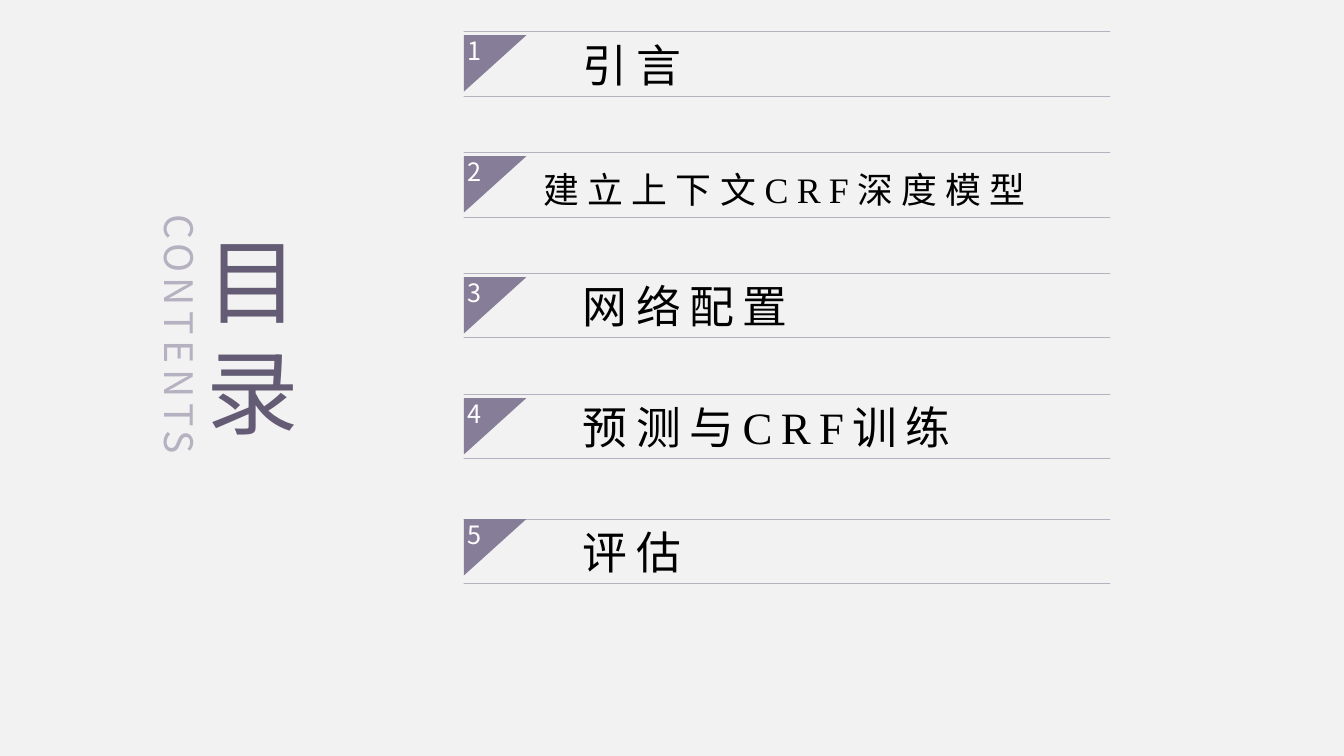
from pptx import Presentation
from pptx import util as u
from pptx.dml.color import RGBColor
from pptx.enum import text
from pptx.oxml.ns import qn

PURPLE, DARK, PALE = "867D98", "645C74", "B6B1C1"
CJK, LATIN = "Noto Sans CJK SC", "Times New Roman"
LEFT, RULE_W, RULE_GAP = 4.6, 6.41, 0.64
FLAG_W, FLAG_H = 0.62, 0.56
FIRST_TOP, PITCH = 0.31, 1.2


def color(hex_value):
    return RGBColor.from_string(hex_value)


class ContentsSlide:
    def __init__(self, prs):
        self.slide = prs.slides.add_slide(prs.slide_layouts[5])
        self.slide.background.fill.solid()
        self.slide.background.fill.fore_color.rgb = color("F2F2F2")

    def frame(self, shape, insets, anchor):
        body = shape.text_frame
        sides = dict(zip(("left", "top", "right", "bottom"), insets))
        settings = {f"margin_{side}": u.Inches(v) for side, v in sides.items()}
        settings.update(word_wrap=True, vertical_anchor=anchor,
                        auto_size=text.MSO_AUTO_SIZE.NONE)
        for key, value in settings.items():
            setattr(body, key, value)
        return body

    def add_runs(self, paragraph, runs, size, ink, align=text.PP_ALIGN.LEFT, spacing=0):
        paragraph.alignment = align
        for words, face in runs:
            run = paragraph.add_run()
            run.text = words
            for key, value in {"size": u.Pt(size), "name": face, "bold": False}.items():
                setattr(run.font, key, value)
            run.font.color.rgb = color(ink)
            props = run.font._element
            props.get_or_add_latin().addnext(props.makeelement(qn("a:ea"), {"typeface": CJK}))
            if spacing:
                props.set("spc", str(spacing * 100))

    def outline(self, contours):
        """Freeform through closed contours given in inches."""
        contours = [[(u.Inches(x), u.Inches(y)) for x, y in c] for c in contours]
        builder = self.slide.shapes.build_freeform(*contours[0][0])
        for index, (start, *rest) in enumerate(contours):
            if index:
                builder.move_to(*start)
            builder.add_line_segments(rest, close=True)
        shape = builder.convert_to_shape()
        shape.shadow.inherit = False
        return shape

    def rules(self, top, runs, size, indent, line_spacing):
        shape = self.outline([[(LEFT, y), (LEFT + RULE_W, y), (LEFT, y)]
                              for y in (top + RULE_GAP, top)])
        shape.fill.background()
        shape.line.color.rgb = color(PALE)
        shape.line.width = u.Pt(0.25)
        body = self.frame(shape, (indent, 0, 0, 0.04), text.MSO_ANCHOR.MIDDLE)
        entry = body.paragraphs[0]
        entry.line_spacing = line_spacing
        self.add_runs(entry, runs, size, "000000", spacing=6)

    def flag(self, top, number):
        shape = self.outline([[(LEFT, top), (LEFT + FLAG_W, top), (LEFT, top + FLAG_H)]])
        shape.fill.solid()
        shape.fill.fore_color.rgb = color(PURPLE)
        shape.line.fill.background()
        body = self.frame(shape, (0.04, 0, 0, 0.47), text.MSO_ANCHOR.TOP)
        self.add_runs(body.paragraphs[0], [(str(number), CJK)], 18, "FFFFFF")

    def title(self, characters, box):
        heading = self.slide.shapes.title
        for key, value in zip(("left", "top", "width", "height"), box):
            setattr(heading, key, u.Inches(value))
        body = self.frame(heading, (0, 0, 0, 0), text.MSO_ANCHOR.MIDDLE)
        for index, character in enumerate(characters):
            paragraph = body.add_paragraph() if index else body.paragraphs[0]
            self.add_runs(paragraph, [(character, CJK)], 66, DARK, text.PP_ALIGN.CENTER)

    def side_label(self, words, box):
        label = self.slide.shapes.add_textbox(*map(u.Inches, box))
        label.rotation = 90
        body = self.frame(label, (0.1, 0.05, 0.1, 0.05), text.MSO_ANCHOR.TOP)
        self.add_runs(body.paragraphs[0], [(words, CJK)], 28, PALE,
                      text.PP_ALIGN.CENTER, spacing=4)


def main():
    prs = Presentation()
    prs.slide_width, prs.slide_height = u.Inches(13.33), u.Inches(7.5)
    contents = ContentsSlide(prs)

    # Heading
    contents.title("目录", (1.72, 1.82, 1.57, 3.01))
    contents.side_label("CONTENTS", (-0.24, 3.03, 4.04, 0.57))

    # Chapters: runs, size, indent, line spacing
    large = (32, 1.18, 1.1)
    chapters = [
        ([("引言", CJK)], *large),
        ([("建立上下文", CJK), ("CRF", LATIN), ("深度模型", CJK)], 25.6, 0.79, 1.3),
        ([("网络配置", CJK)], *large),
        ([("预测与", CJK), ("CRF", LATIN), ("训练", CJK)], *large),
        ([("评估", CJK)], *large),
    ]
    for index, chapter in enumerate(chapters):
        # The last flag keeps the pitch and its rules move down to meet it
        flag_top = FIRST_TOP + 0.04 + PITCH * index
        is_last = index == len(chapters) - 1
        contents.rules(flag_top if is_last else flag_top - 0.04, *chapter)
        contents.flag(flag_top, index + 1)

    prs.save("out.pptx")


if __name__ == "__main__":
    main()
